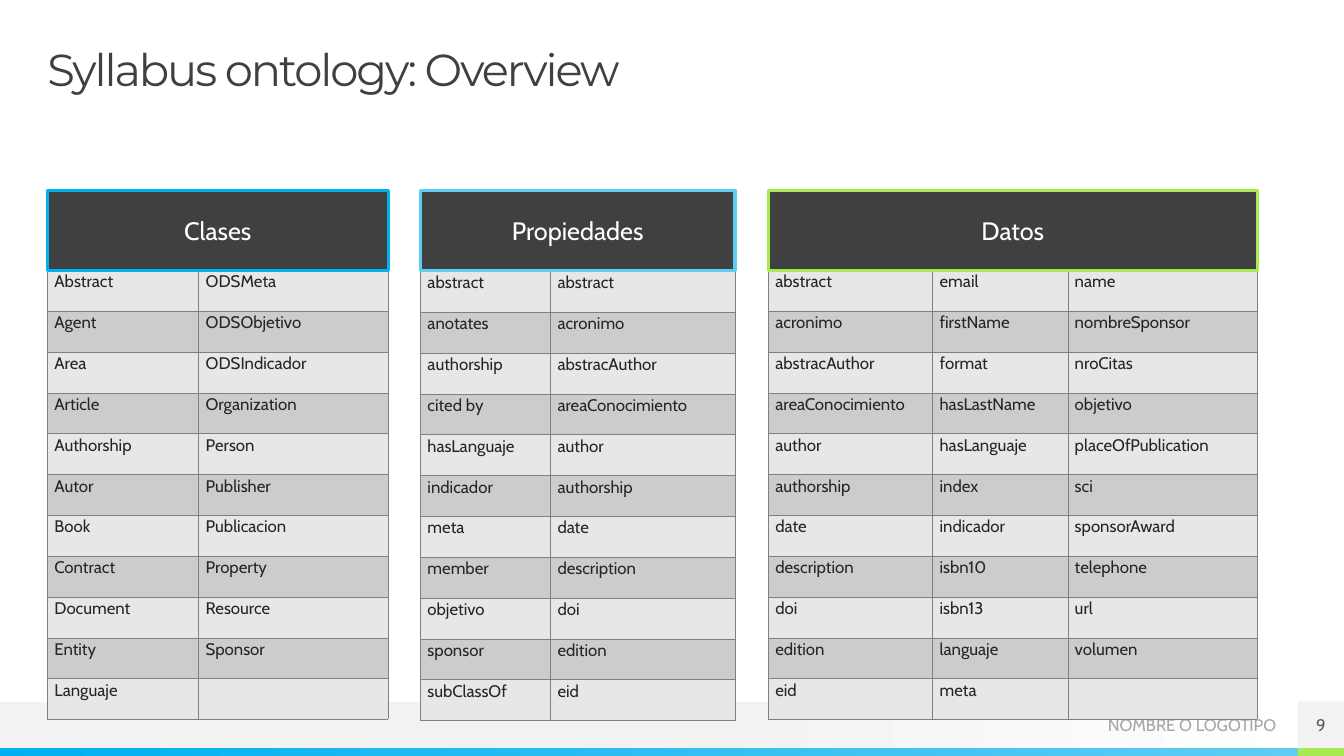
import pptx
import pptx.util
import pptx.dml.color
import pptx.enum.shapes
import pptx.enum.text
import pptx.oxml
import pptx.oxml.ns

Inches, Pt = pptx.util.Inches, pptx.util.Pt
RGB = pptx.dml.color.RGBColor
ALIGN = pptx.enum.text.PP_ALIGN
ANCHOR = pptx.enum.text.MSO_ANCHOR

BLUE = RGB(0x00, 0xB0, 0xF0)
SKY = RGB(0x5E, 0xCC, 0xF3)
GREEN = RGB(0xA7, 0xEA, 0x52)
WHITE = RGB(0xFF, 0xFF, 0xFF)
PALE = RGB(0xF2, 0xF2, 0xF2)
DARK = RGB(0x40, 0x40, 0x40)
INK = RGB(0x26, 0x26, 0x26)
GREY = RGB(0x59, 0x59, 0x59)
MUTED = RGB(0xA6, 0xA6, 0xA6)
BANDS = (RGB(0xE7, 0xE7, 0xE7), RGB(0xCC, 0xCC, 0xCC))
BORDER = "808080"
BODY, HEAD = "Cabin", "Montserrat"

TITLE = "Syllabus ontology: Overview"
FOOTER = "NOMBRE O LOGOTIPO"
PAGE = "9"

# Heading, line colour, left, table top, column widths, columns of words
GROUPS = [
    ("Clases", BLUE, 0.47, 2.68, (1.5, 1.88), (
        ("Abstract", "Agent", "Area", "Article", "Authorship", "Autor",
         "Book", "Contract", "Document", "Entity", "Languaje"),
        ("ODSMeta", "ODSObjetivo", "ODSIndicador", "Organization", "Person",
         "Publisher", "Publicacion", "Property", "Resource", "Sponsor", ""))),
    ("Propiedades", SKY, 4.17, 2.69, (1.29, 1.83), (
        ("abstract", "anotates", "authorship", "cited by", "hasLanguaje",
         "indicador", "meta", "member", "objetivo", "sponsor", "subClassOf"),
        ("abstract", "acronimo", "abstracAuthor", "areaConocimiento",
         "author", "authorship", "date", "description", "doi", "edition",
         "eid"))),
    ("Datos", GREEN, 7.62, 2.68, (1.63, 1.34, 1.88), (
        ("abstract", "acronimo", "abstracAuthor", "areaConocimiento",
         "author", "authorship", "date", "description", "doi", "edition",
         "eid"),
        ("email", "firstName", "format", "hasLastName", "hasLanguaje",
         "index", "indicador", "isbn10", "isbn13", "languaje", "meta"),
        ("name", "nombreSponsor", "nroCitas", "objetivo",
         "placeOfPublication", "sci", "sponsorAward", "telephone", "url",
         "volumen", ""))),
]
HEAD_TOP, HEAD_HIGH, TABLE_HIGH = 1.89, 0.79, 4.46
WIDE, HIGH = 13.33, 7.5
BAR_TOP, EDGE_TOP, TAB = 6.96, 7.42, 0.46


def style(par, size, color, face=BODY, align=ALIGN.LEFT):
    par.alignment = align
    par.font.size = Pt(size)
    par.font.name = face
    par.font.color.rgb = color


def write(shape, text, size, color, face=BODY, align=ALIGN.CENTER,
          anchor=ANCHOR.MIDDLE):
    """Put one paragraph in a shape that has no inner margins."""
    frame = shape.text_frame
    frame.auto_size = pptx.enum.text.MSO_AUTO_SIZE.NONE
    frame.word_wrap = True
    frame.vertical_anchor = anchor
    frame.margin_left = frame.margin_right = 0
    frame.margin_top = frame.margin_bottom = 0
    par = frame.paragraphs[0]
    par.text = text
    style(par, size, color, face, align)
    return par


def block(slide, left, top, wide, high, color, line=None):
    """Add a rectangle with a plain fill and, if given, a line colour."""
    shape = slide.shapes.add_shape(
        pptx.enum.shapes.MSO_SHAPE.RECTANGLE,
        Inches(left), Inches(top), Inches(wide), Inches(high))
    shape.shadow.inherit = False
    shape.fill.solid()
    shape.fill.fore_color.rgb = color
    if line is None:
        shape.line.fill.background()
    else:
        shape.line.color.rgb = line
        shape.line.width = Pt(2.25)
    return shape


def fade(shape, first, last, start=0):
    """Fill a shape from left to right with two colours."""
    shape.fill.gradient()
    shape.fill.gradient_angle = 0
    stops = shape.fill.gradient_stops
    for stop, color, place in zip(stops, (first, last), (start, 1)):
        stop.color.rgb = color
        stop.position = place


def frame_cell(cell):
    """Draw thin lines on all four sides of a cell."""
    props = cell._tc.get_or_add_tcPr()
    for side in "LRTB":
        props.append(pptx.oxml.parse_xml(
            f'<a:ln{side} {pptx.oxml.ns.nsdecls("a")} w="{Pt(0.25)}">'
            f'<a:solidFill><a:srgbClr val="{BORDER}"/></a:solidFill>'
            f'</a:ln{side}>'))


def fill_cell(cell, text, band):
    frame_cell(cell)
    cell.fill.solid()
    cell.fill.fore_color.rgb = band
    cell.margin_left = cell.margin_right = Inches(0.07)
    cell.margin_top = cell.margin_bottom = 0
    par = cell.text_frame.paragraphs[0]
    par.text = text
    par.line_spacing = 1.07
    par.space_after = Pt(8)
    style(par, 12, INK)


def add_group(slide, name, color, left, top, widths, words):
    """Add one word table with its heading above."""
    wide = sum(widths)
    table = slide.shapes.add_table(
        len(words[0]), len(words), Inches(left), Inches(top),
        Inches(wide), Inches(TABLE_HIGH)).table
    table.first_row = table.horz_banding = False
    for col, (width, column) in enumerate(zip(widths, words)):
        table.columns[col].width = Inches(width)
        for row, word in enumerate(column):
            fill_cell(table.cell(row, col), word, BANDS[row % 2])
    head = block(slide, left, HEAD_TOP, wide, HEAD_HIGH, DARK, color)
    write(head, name, 18, WHITE)


def main():
    deck = pptx.Presentation()
    deck.slide_width, deck.slide_height = Inches(WIDE), Inches(HIGH)
    slide = deck.slides.add_slide(deck.slide_layouts[5])

    split = WIDE - TAB
    fade(block(slide, 0, BAR_TOP, WIDE, TAB, PALE), PALE, WHITE, 0.53)
    edge = HIGH - EDGE_TOP
    fade(block(slide, 0, EDGE_TOP, split, edge, BLUE), BLUE, SKY)
    block(slide, split, EDGE_TOP, TAB, edge, GREEN)
    foot = slide.shapes.add_textbox(
        Inches(10.42), Inches(BAR_TOP), Inches(2.24), Inches(0.47))
    write(foot, FOOTER, 12, MUTED, align=ALIGN.RIGHT)
    write(block(slide, split, BAR_TOP, TAB, TAB, PALE), PAGE, 12, GREY)

    title = slide.shapes.title
    title.left, title.top = Inches(0.47), Inches(0.47)
    title.width, title.height = Inches(12.4), Inches(0.47)
    par = write(title, TITLE, 32, DARK, HEAD, ALIGN.LEFT, ANCHOR.TOP)
    par.line_spacing = 0.9
    par.runs[0]._r.get_or_add_rPr().set("spc", "-150")

    for group in GROUPS:
        add_group(slide, *group)
    deck.save("out.pptx")


if __name__ == "__main__":
    main()
